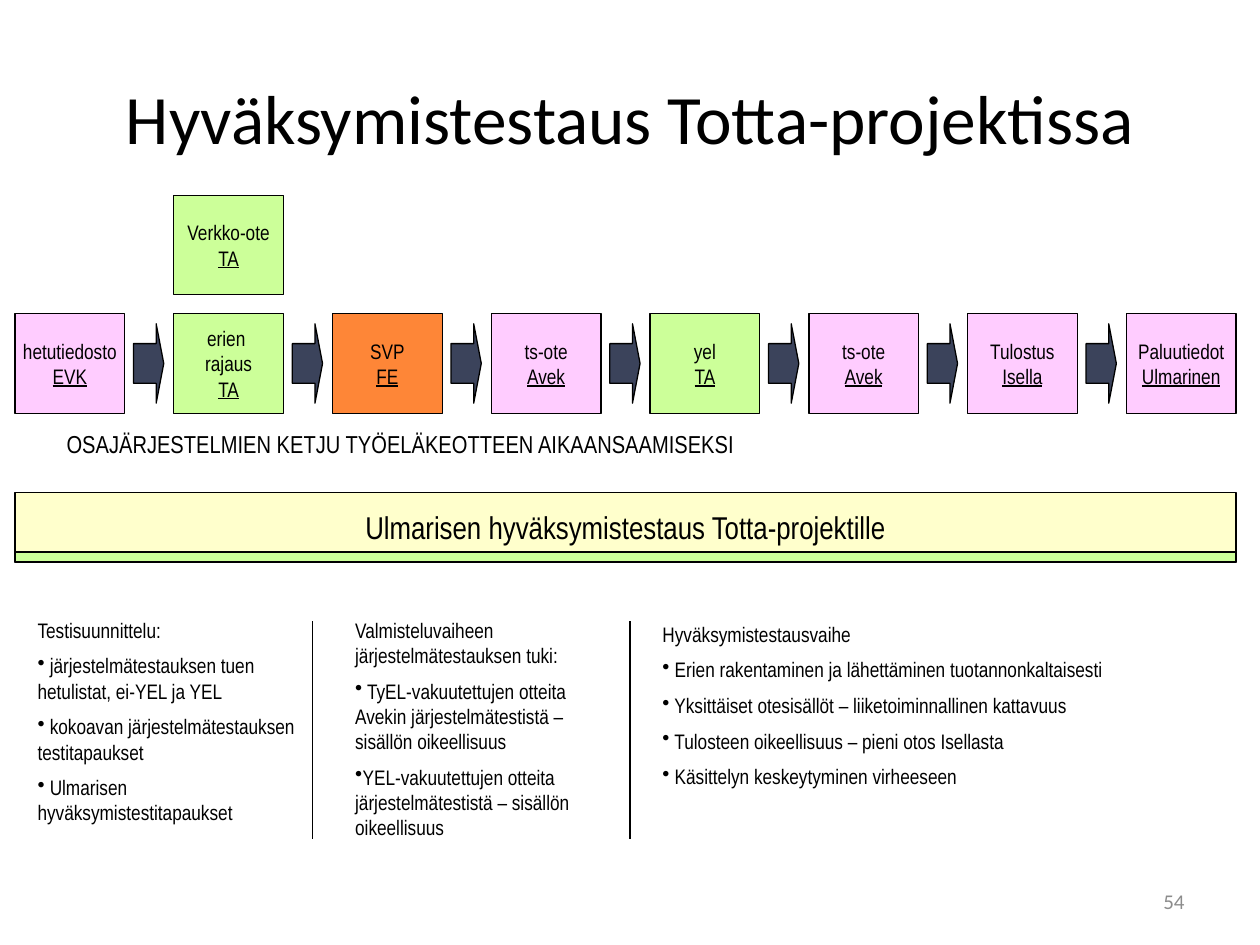
"""Build the acceptance testing slide with its process chain and three task columns."""
import pptx
import pptx.dml.color
import pptx.enum.shapes
import pptx.enum.text
import pptx.oxml
import pptx.oxml.ns
import pptx.util
from pptx.util import Inches

ALIGN = pptx.enum.text.PP_ALIGN
ANCHOR = pptx.enum.text.MSO_ANCHOR
SHAPE = pptx.enum.shapes.MSO_SHAPE
PINK, GREEN, ORANGE, YELLOW, NAVY = "FFCCFF", "CCFF99", "FE8637", "FFFFCC", "3B435B"
color = pptx.dml.color.RGBColor.from_string


def add_text(para, text, size, font="Arial Narrow", ink="000000", align=ALIGN.LEFT):
    para.alignment = align
    span = para.add_run()
    span.text = text
    span.font.size = pptx.util.Pt(size)
    span.font.name = font
    span.font.color.rgb = color(ink)
    return span


def add_block(kind, left, top, width, height, fill):
    block = page.shapes.add_shape(kind, Inches(left), Inches(top), Inches(width), Inches(height))
    block.shadow.inherit = False
    block.fill.solid()
    block.fill.fore_color.rgb = color(fill)
    block.line.color.rgb = color("000000")
    block.line.width = pptx.util.Pt(0.75)
    block.text_frame.word_wrap = False
    block.text_frame.vertical_anchor = ANCHOR.MIDDLE
    return block


deck = pptx.Presentation()
deck.slide_width, deck.slide_height = Inches(10), Inches(7.5)
page = deck.slides.add_slide(deck.slide_layouts[6])

labels = [
    (0.5, 0.3, 9, 1.25, ANCHOR.MIDDLE, "Hyväksymistestaus Totta-projektissa", 39.6, "Calibri", "000000", ALIGN.CENTER),
    (0.43, 3.36, 7.95, 0.33, ANCHOR.TOP, "OSAJÄRJESTELMIEN KETJU TYÖELÄKEOTTEEN AIKAANSAAMISEKSI",
     14, "Arial Narrow", "000000", ALIGN.LEFT),
    (7.17, 6.95, 2.33, 0.4, ANCHOR.MIDDLE, "54", 12, "Calibri", "8C8C8C", ALIGN.RIGHT),
]
for left, top, width, height, anchor, text, size, font, ink, align in labels:
    box = page.shapes.add_textbox(Inches(left), Inches(top), Inches(width), Inches(height))
    box.text_frame.word_wrap = True
    box.text_frame.vertical_anchor = anchor
    add_text(box.text_frame.paragraphs[0], text, size, font, ink, align)

first_left, pitch, chain_top = 0.12, 1.26, 2.49
steps = [
    (0, chain_top, PINK, ["hetutiedosto", "EVK"]),
    (1, chain_top, GREEN, ["erien ", "rajaus", "TA"]),
    (2, chain_top, ORANGE, ["SVP", "FE"]),
    (3, chain_top, PINK, ["ts-ote", "Avek"]),
    (4, chain_top, GREEN, ["yel", "TA"]),
    (5, chain_top, PINK, ["ts-ote", "Avek"]),
    (6, chain_top, PINK, ["Tulostus", "Isella"]),
    (7, chain_top, PINK, ["Paluutiedot", "Ulmarinen"]),
    (1, 1.55, GREEN, ["Verkko-ote", "TA"]),
]
for column, top, fill, lines in steps:
    frame = add_block(SHAPE.RECTANGLE, first_left + column * pitch, top, 0.87, 0.79, fill).text_frame
    for index, line in enumerate(lines):
        para = frame.add_paragraph() if index else frame.paragraphs[0]
        span = add_text(para, line, 12, align=ALIGN.CENTER)
        if index == len(lines) - 1:
            span.font.underline = True

for column in range(7):
    arrow = add_block(SHAPE.RIGHT_ARROW, 1.06 + column * pitch, 2.57, 0.24, 0.63, NAVY)
    arrow.adjustments[0], arrow.adjustments[1] = 0.5, 0.25

banner = add_block(SHAPE.RECTANGLE, first_left, 3.91, 9.69, 0.55, YELLOW)
add_text(banner.text_frame.paragraphs[0], "Ulmarisen hyväksymistestaus Totta-projektille", 18, align=ALIGN.CENTER)
add_block(SHAPE.RECTANGLE, first_left, 4.38, 9.69, 0.08, GREEN)

phases = [
    (0.2, 4.85, 2.36, 2.1, "Testisuunnittelu:", [
        " järjestelmätestauksen tuen hetulistat, ei-YEL ja YEL",
        " kokoavan järjestelmätestauksen testitapaukset",
        " Ulmarisen hyväksymistestitapaukset"]),
    (2.72, 4.85, 2.12, 1.92, "Valmisteluvaiheen järjestelmätestauksen tuki:", [
        " TyEL-vakuutettujen otteita Avekin järjestelmätestistä – sisällön oikeellisuus",
        "YEL-vakuutettujen otteita järjestelmätestistä – sisällön oikeellisuus"]),
    (5.16, 4.88, 4.57, 1.5, "Hyväksymistestausvaihe", [
        " Erien rakentaminen ja lähettäminen tuotannonkaltaisesti",
        " Yksittäiset otesisällöt – liiketoiminnallinen kattavuus",
        " Tulosteen oikeellisuus – pieni otos Isellasta",
        " Käsittelyn keskeytyminen virheeseen"]),
]
for left, top, width, height, heading, tasks in phases:
    box = page.shapes.add_textbox(Inches(left), Inches(top), Inches(width), Inches(height))
    box.text_frame.word_wrap = True
    add_text(box.text_frame.paragraphs[0], heading, 12)
    for task in tasks:
        para = box.text_frame.add_paragraph()
        bullet = pptx.oxml.parse_xml(f'<a:buChar {pptx.oxml.ns.nsdecls("a")} char="•"/>')
        para._p.get_or_add_pPr().append(bullet)
        para.space_before = pptx.util.Pt(6)
        add_text(para, task, 12)

for left in (2.48, 5):
    divider = page.shapes.add_connector(
        pptx.enum.shapes.MSO_CONNECTOR.STRAIGHT, Inches(left), Inches(4.93), Inches(left), Inches(6.66))
    divider.line.color.rgb = color("000000")
    divider.line.width = pptx.util.Pt(0.75)
    divider._element.spPr.append(pptx.oxml.parse_xml(f'<a:effectLst {pptx.oxml.ns.nsdecls("a")}/>'))

deck.save("out.pptx")
